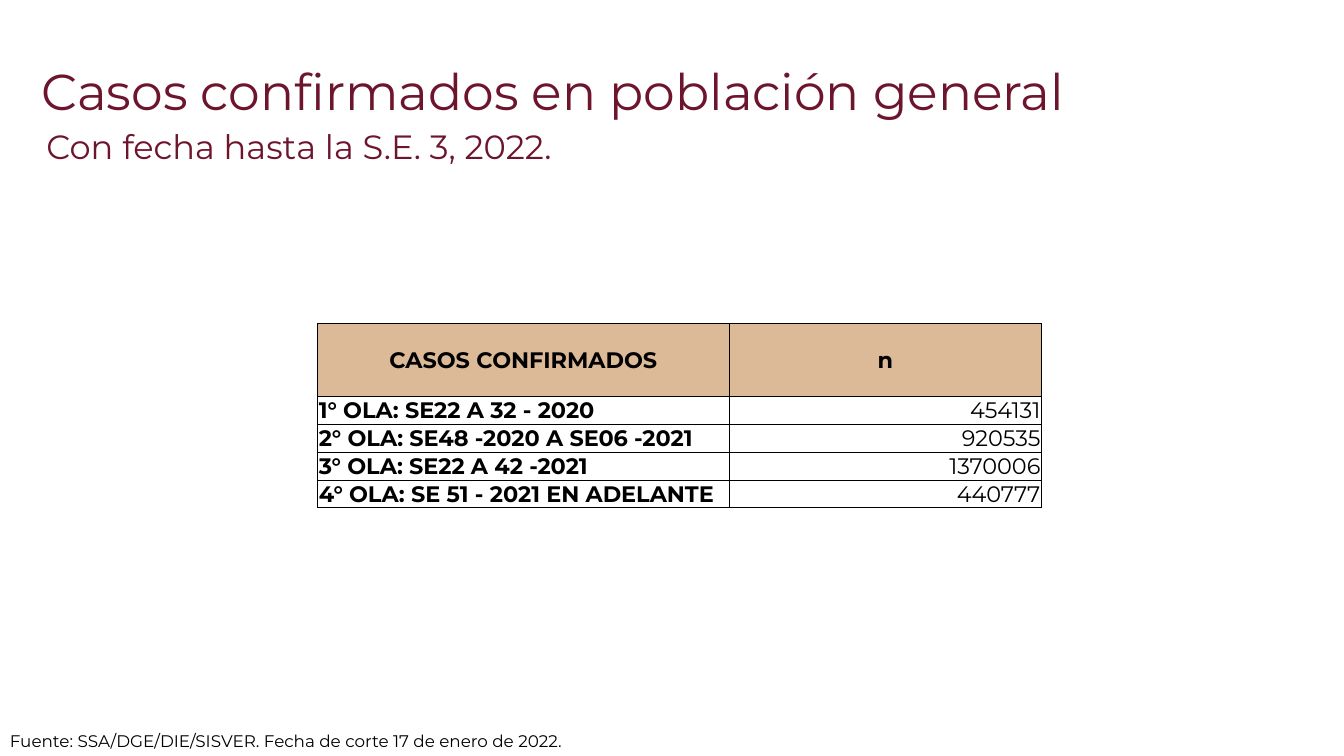
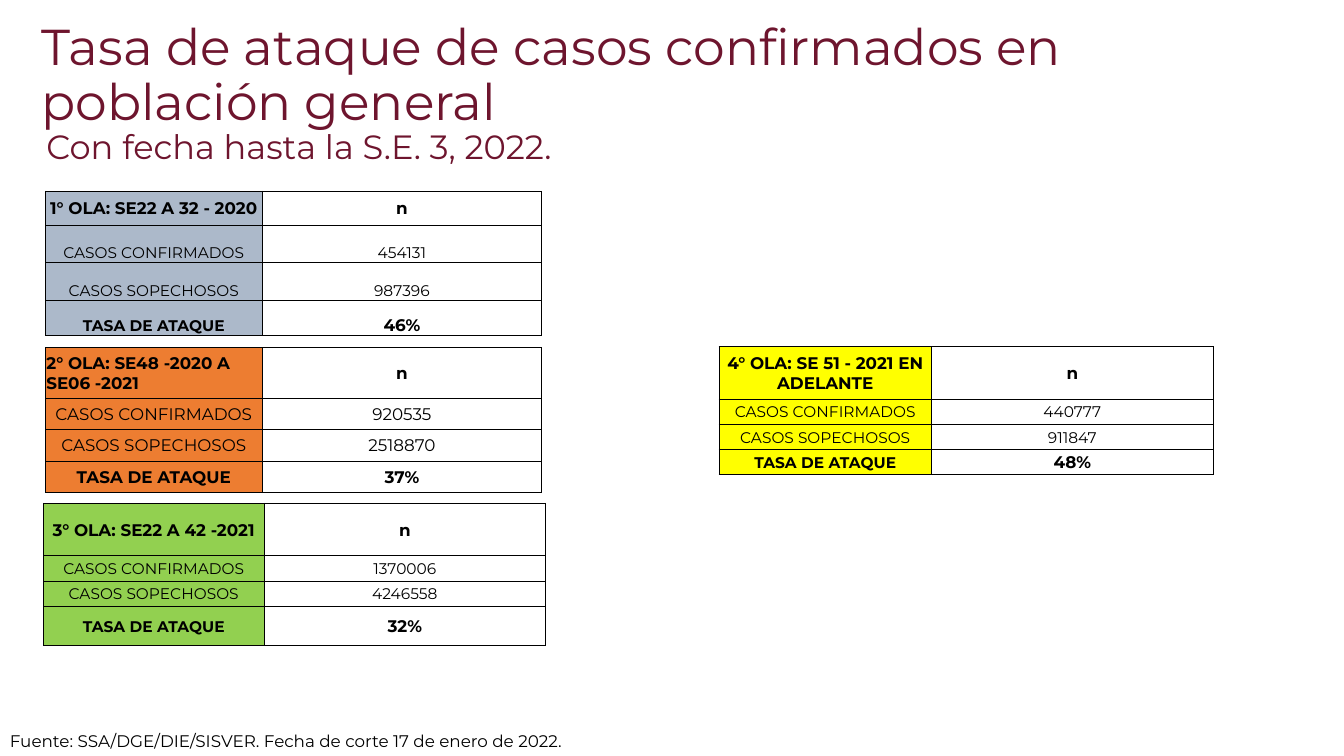
from lxml import etree
from pptx import Presentation
from pptx.dml.color import RGBColor
from pptx.enum.text import MSO_ANCHOR, MSO_AUTO_SIZE, PP_ALIGN
from pptx.oxml.ns import qn
from pptx.util import Pt

LEFT, CENTER, RIGHT = PP_ALIGN.LEFT, PP_ALIGN.CENTER, PP_ALIGN.RIGHT
TOP, MIDDLE, BOTTOM = MSO_ANCHOR.TOP, MSO_ANCHOR.MIDDLE, MSO_ANCHOR.BOTTOM
NO_FIT, GROW = MSO_AUTO_SIZE.NONE, MSO_AUTO_SIZE.SHAPE_TO_FIT_TEXT

FONT = "Montserrat"
WINE = RGBColor(0x6E, 0x15, 0x2E)
BLACK = RGBColor(0, 0, 0)
SAND = RGBColor(0xDD, 0xBA, 0x97)
BLUE_GRAY = RGBColor(0xAC, 0xB9, 0xCA)
ORANGE = RGBColor(0xED, 0x7D, 0x31)
GREEN = RGBColor(0x92, 0xD0, 0x50)
YELLOW = RGBColor(0xFF, 0xFF, 0)

SUBTITLE = "Con fecha hasta la S.E. 3, 2022."
SOURCE = "Fuente: SSA/DGE/DIE/SISVER. Fecha de corte 17 de enero de 2022."
CASES_TITLE = "Casos confirmados en población general"
RATE_TITLE = "Tasa de ataque de casos confirmados en población general"

CASES_HEADER = ("CASOS CONFIRMADOS", "n")
CASES = [
    ("1° OLA: SE22 A 32 - 2020", "454131"),
    ("2° OLA: SE48 -2020 A SE06 -2021", "920535"),
    ("3° OLA: SE22 A 42 -2021", "1370006"),
    ("4° OLA: SE 51 - 2021 EN ADELANTE", "440777"),
]
RATE_LABELS = ("CASOS CONFIRMADOS", "CASOS SOPECHOSOS", "TASA DE ATAQUE")
WAVES = [
    dict(suspected="987396", rate="46%", color=BLUE_GRAY, corner=(32.4, 136.6),
         widths=(155, 199.5), heights=(24.5, 26.6, 26.6, 25.2),
         size=11, anchor=BOTTOM, align=CENTER),
    dict(suspected="2518870", rate="37%", color=ORANGE, corner=(32.4, 248.2),
         widths=(155, 199.5), heights=(36.3, 22.4, 22.4, 22.4),
         size=12, anchor=MIDDLE, align=LEFT),
    dict(suspected="4246558", rate="32%", color=GREEN, corner=(31, 359.5),
         widths=(157.7, 201), heights=(37.4, 18.2, 18.2, 28),
         size=11, anchor=MIDDLE, align=CENTER),
    dict(suspected="911847", rate="48%", color=YELLOW, corner=(513.5, 247.5),
         widths=(152, 201), heights=(37.6, 18, 18, 18),
         size=11, anchor=MIDDLE, align=CENTER),
]


def style_paragraph(paragraph, size, color, align=LEFT, bold=False):
    paragraph.alignment = align
    for run in paragraph.runs:
        run.font.name = FONT
        run.font.size = Pt(size)
        run.font.bold = bold
        run.font.color.rgb = color


def add_label(slide, text, left, top, width, height, size, color):
    shape = slide.shapes.add_textbox(Pt(left), Pt(top), Pt(width), Pt(height))
    frame = shape.text_frame
    frame.text = text
    frame.word_wrap = False
    frame.auto_size = GROW
    style_paragraph(frame.paragraphs[0], size, color)


def add_titled_slide(presentation, title, top):
    slide = presentation.slides.add_slide(presentation.slide_layouts[5])
    shape = slide.shapes.title
    shape.left, shape.top = Pt(22.3), Pt(top)
    shape.width, shape.height = Pt(776), Pt(83.5)
    frame = shape.text_frame
    frame.text = title
    frame.word_wrap = True
    frame.auto_size = NO_FIT
    frame.vertical_anchor = TOP
    frame.paragraphs[0].line_spacing = 0.9
    style_paragraph(frame.paragraphs[0], 36, WINE)
    add_label(slide, SOURCE, 0, 518.4, 411, 21.8, 12, BLACK)
    add_label(slide, SUBTITLE, 26, 86.6, 385, 36.4, 24, WINE)
    return slide


def add_borders(cell):
    properties = cell._tc.get_or_add_tcPr()
    for side in ("a:lnL", "a:lnR", "a:lnT", "a:lnB"):
        line = etree.SubElement(properties, qn(side), w=str(Pt(0.5)))
        fill = etree.SubElement(line, qn("a:solidFill"))
        etree.SubElement(fill, qn("a:srgbClr"), val=str(BLACK))


def fill_cell(cell, text, size, bold, align, anchor, color):
    cell.text_frame.text = text
    cell.vertical_anchor = anchor
    cell.margin_left = cell.margin_right = cell.margin_top = Pt(0.75)
    cell.margin_bottom = 0
    add_borders(cell)
    if color is None:
        cell.fill.background()
    else:
        cell.fill.solid()
        cell.fill.fore_color.rgb = color
    style_paragraph(cell.text_frame.paragraphs[0], size, BLACK, align, bold)


def add_grid(slide, corner, widths, heights, rows):
    left, top = corner
    table = slide.shapes.add_table(
        len(heights), len(widths), Pt(left), Pt(top),
        Pt(sum(widths)), Pt(sum(heights))).table
    table.first_row = table.horz_banding = False
    for column, width in zip(table.columns, widths):
        column.width = Pt(width)
    for row, height, cells in zip(table.rows, heights, rows):
        row.height = Pt(height)
        for cell, content in zip(row.cells, cells):
            fill_cell(cell, *content)


def add_cases_table(slide):
    rows = [[(text, 16, True, CENTER, MIDDLE, SAND) for text in CASES_HEADER]]
    for wave, count in CASES:
        rows.append([(wave, 16, True, LEFT, BOTTOM, None),
                     (count, 16, False, RIGHT, BOTTOM, None)])
    add_grid(slide, (227, 231), (293.7, 223.2), (51.8, 20, 20, 20, 20), rows)


def add_wave_table(slide, name, confirmed, wave):
    color, anchor, size = wave["color"], wave["anchor"], wave["size"]
    rows = [[(name, 12, True, wave["align"], MIDDLE, color),
             ("n", 12, True, CENTER, MIDDLE, None)]]
    values = (confirmed, wave["suspected"], wave["rate"])
    for label, value in zip(RATE_LABELS, values):
        total = label == RATE_LABELS[-1]
        rows.append([
            (label, size, total, CENTER, anchor, color),
            (value, 12 if total else size, total, CENTER, anchor, None)])
    add_grid(slide, wave["corner"], wave["widths"], wave["heights"], rows)


def main():
    presentation = Presentation()
    presentation.slide_width, presentation.slide_height = Pt(960), Pt(540)
    add_cases_table(add_titled_slide(presentation, CASES_TITLE, 44.6))
    slide = add_titled_slide(presentation, RATE_TITLE, 12.2)
    for (name, confirmed), wave in zip(CASES, WAVES):
        add_wave_table(slide, name, confirmed, wave)
    presentation.save("out.pptx")


if __name__ == "__main__":
    main()
